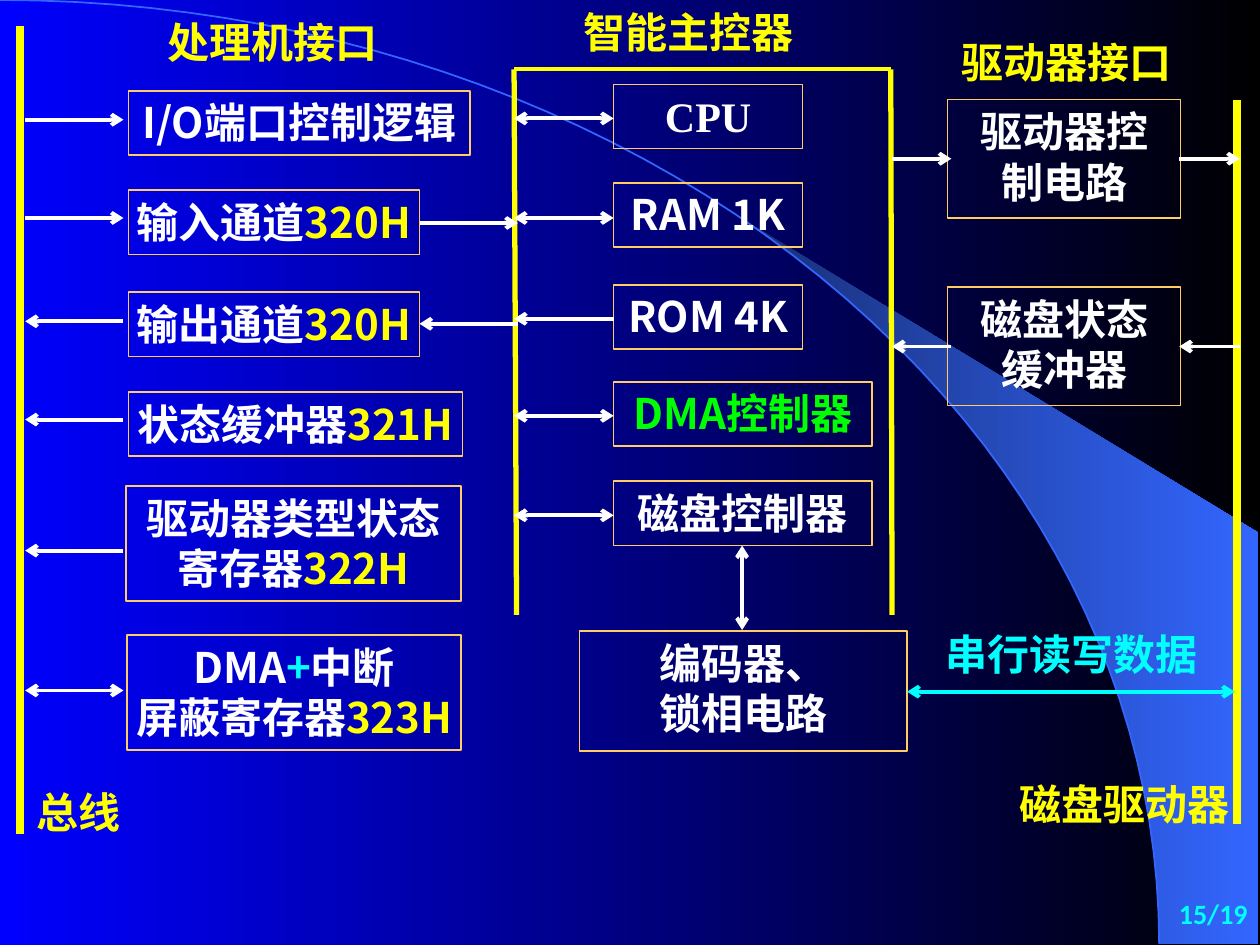
import math
from lxml import etree
from pptx import Presentation
from pptx import util as u
from pptx.dml.color import RGBColor
from pptx.enum import shapes, text
from pptx.oxml.ns import qn

COLORS = {"white": "FFFFFF", "yellow": "FFFF00", "cyan": "00FFFF", "green": "00FF00",
          "gold": "FFCC66", "blue": "0000FF", "black": "000000",
          "navy": "182F76", "sky": "3366FF"}
SANS, SERIF, NUMBER = "Noto Sans CJK SC", "Times New Roman", "Calibri"
LEFT, CENTER, RIGHT = text.PP_ALIGN.LEFT, text.PP_ALIGN.CENTER, text.PP_ALIGN.RIGHT
FIXED, GROW = text.MSO_AUTO_SIZE.NONE, text.MSO_AUTO_SIZE.SHAPE_TO_FIT_TEXT


# A line of text is a list of (words, color) runs.
def white(words):
    return [(words, "white")]


def port(words, address):
    return [(words, "white"), (address, "yellow")]


# left, top, width, height, lines
PROCESSOR_BOXES = [
    (1.02, 0.72, 2.71, 0.51, [white("I/O端口控制逻辑")]),
    (1.02, 1.51, 2.31, 0.51, [port("输入通道", "320H")]),
    (1.02, 2.32, 2.31, 0.51, [port("输出通道", "320H")]),
    (1.02, 3.11, 2.65, 0.51, [port("状态缓冲器", "321H")]),
    (1.00, 3.86, 2.66, 0.91, [white("驱动器类型状态"), port("寄存器", "322H")]),
    (1.01, 5.04, 2.65, 0.91, [[("DMA", "white"), ("+", "cyan"), ("中断", "white")],
                              port("屏蔽寄存器", "323H")]),
]
# top, width, line, font, arrow y, arrow ends
CONTROLLER_BOXES = [
    (0.67, 1.50, white("CPU"), SERIF, 0.94, "both"),
    (1.45, 1.50, white("RAM 1K"), SANS, 1.73, "both"),
    (2.26, 1.50, white("ROM 4K"), SANS, 2.53, "head"),
    (3.03, 2.05, [("DMA控制器", "green")], SANS, 3.30, "both"),
    (3.82, 2.05, white("磁盘控制器"), SANS, 4.09, "both"),
]
ENCODER_BOX = (4.6, 5.01, 2.6, 0.95, [white("编码器、"), white("锁相电路")])
# top, words, arrow y, arrow ends
DRIVE_BOXES = [(0.79, "驱动器控制电路", 1.26, "tail"),
               (2.28, "磁盘状态缓冲器", 2.75, "head")]
BUS_ARROWS = [(0.95, "tail"), (1.73, "tail"), (2.55, "head"),
              (3.33, "head"), (4.37, "head"), (5.48, "both")]
CHANNEL_ARROWS = [(1.77, "tail"), (2.57, "head")]
# left, top, width, words, color, alignment
LABELS = [
    (7.41, 4.94, 2.20, "串行读写数据", "cyan", LEFT),
    (1.23, 0.08, 1.88, "处理机接口", "yellow", LEFT),
    (4.53, 0.00, 1.88, "智能主控器", "yellow", LEFT),
    (7.53, 0.24, 1.88, "驱动器接口", "yellow", LEFT),
    (0.18, 6.19, 0.88, "总线", "yellow", CENTER),
    (7.99, 6.13, 1.88, "磁盘驱动器", "yellow", LEFT),
]
# x1, y1, x2, y2, points
RAILS = [
    (4.08, 0.55, 4.10, 4.88, 3), (4.08, 0.55, 7.07, 0.55, 2.25),
    (7.07, 0.55, 7.08, 4.88, 3), (0.16, 0.21, 0.16, 6.62, 4.5),
    (9.82, 0.79, 9.82, 6.54, 4.5),
]
ARC_WIDTH, ARC_HEIGHT, BEAM_START = 9.2, 7.49, 5.89

prs = Presentation()
prs.slide_width, prs.slide_height = u.Inches(10), u.Inches(7.5)
slide = prs.slides.add_slide(prs.slide_layouts[6])


def rgb(name):
    return RGBColor.from_string(COLORS[name])


def fill_gradient(fill, *names):
    fill.gradient()
    fill.gradient_angle = 0
    for stop, position, name in zip(fill.gradient_stops, (0, 1), names):
        stop.position = position
        stop.color.rgb = rgb(name)


def arc_points(start_x, steps=48):
    """Points on the quarter ellipse from start_x to its right end."""
    start = math.asin(start_x / ARC_WIDTH)
    angles = [start + (math.pi / 2 - start) * i / steps for i in range(steps + 1)]
    return [(ARC_WIDTH * math.sin(a), ARC_HEIGHT * (1 - math.cos(a))) for a in angles]


def add_outline(points, close):
    corners = [(u.Inches(x), u.Inches(y)) for x, y in points]
    builder = slide.shapes.build_freeform(*corners[0])
    builder.add_line_segments(corners[1:], close=close)
    outline = builder.convert_to_shape()
    outline.shadow.inherit = False
    return outline


def write(frame, lines, font=SANS, size=24, align=CENTER, wrap=False,
          anchor=text.MSO_ANCHOR.TOP, fit=FIXED):
    frame.word_wrap = wrap
    frame.auto_size = fit
    frame.vertical_anchor = anchor
    for i, line in enumerate(lines):
        paragraph = frame.add_paragraph() if i else frame.paragraphs[0]
        paragraph.alignment = align
        paragraph.font.name = font
        paragraph.font.size = u.Pt(size)
        paragraph.font.bold = True
        defaults = paragraph._p.pPr.find(qn("a:defRPr"))
        etree.SubElement(defaults, qn("a:ea"), typeface=SANS)
        for words, color in line:
            run = paragraph.add_run()
            run.text = words
            run.font.color.rgb = rgb(color)


def add_box(left, top, width, height, lines, **style):
    box = slide.shapes.add_shape(shapes.MSO_SHAPE.RECTANGLE,
                                 *map(u.Inches, (left, top, width, height)))
    box.shadow.inherit = False
    box.fill.background()
    box.line.color.rgb = rgb("gold")
    box.line.width = u.Pt(1)
    write(box.text_frame, lines, **style)


def add_label(left, top, width, line, **style):
    label = slide.shapes.add_textbox(*map(u.Inches, (left, top, width, 0.5)))
    write(label.text_frame, [line], **style)


def add_line(x1, y1, x2, y2, ends=None, color="white", points=2.25):
    """Straight line; ends is None, head (at the start), tail or both."""
    line = slide.shapes.add_connector(shapes.MSO_CONNECTOR.STRAIGHT,
                                      *map(u.Inches, (x1, y1, x2, y2)))
    line.line.color.rgb = rgb(color)
    line.line.width = u.Pt(points)
    properties = line._element.spPr
    for end in ("head", "tail"):
        if ends in (end, "both"):
            etree.SubElement(properties.find(qn("a:ln")), qn(f"a:{end}End"), type="arrow")
    etree.SubElement(properties, qn("a:effectLst"))


fill_gradient(slide.background.fill, "blue", "black")
beam = add_outline(arc_points(BEAM_START) + [(9.99, 7.49), (9.99, 4.23)], close=True)
fill_gradient(beam.fill, "navy", "sky")
beam.line.fill.background()
arc = add_outline(arc_points(0), close=False)
arc.fill.background()
arc.line.color.rgb = rgb("sky")
arc.line.width = u.Pt(1)

for x1, y1, x2, y2, points in RAILS:
    add_line(x1, y1, x2, y2, color="yellow", points=points)

for box in PROCESSOR_BOXES:
    add_box(*box)
for y, ends in BUS_ARROWS:
    add_line(0.2, y, 0.98, y, ends)
for y, ends in CHANNEL_ARROWS:
    add_line(3.33, y, 4.11, y, ends)

for top, width, line, font, y, ends in CONTROLLER_BOXES:
    add_box(4.87, top, width, 0.51, [line], font=font)
    add_line(4.08, y, 4.87, y, ends)
add_box(*ENCODER_BOX)
add_line(5.89, 4.33, 5.89, 5, "both")

for top, words, y, ends in DRIVE_BOXES:
    add_box(7.52, top, 1.85, 0.94, [white(words)], font=SERIF, wrap=True)
    add_line(7.08, y, 7.55, y, ends)
    add_line(9.36, y, 9.84, y, ends)
add_line(7.2, 5.49, 9.8, 5.49, "both", "cyan")

for left, top, width, words, color, align in LABELS:
    add_label(left, top, width, [(words, color)], font=SERIF, align=align, fit=GROW)
add_label(7.92, 7, 2.08, [("15/19", "cyan")], font=NUMBER, size=16, align=RIGHT,
          wrap=True, anchor=text.MSO_ANCHOR.MIDDLE)

prs.save("out.pptx")
